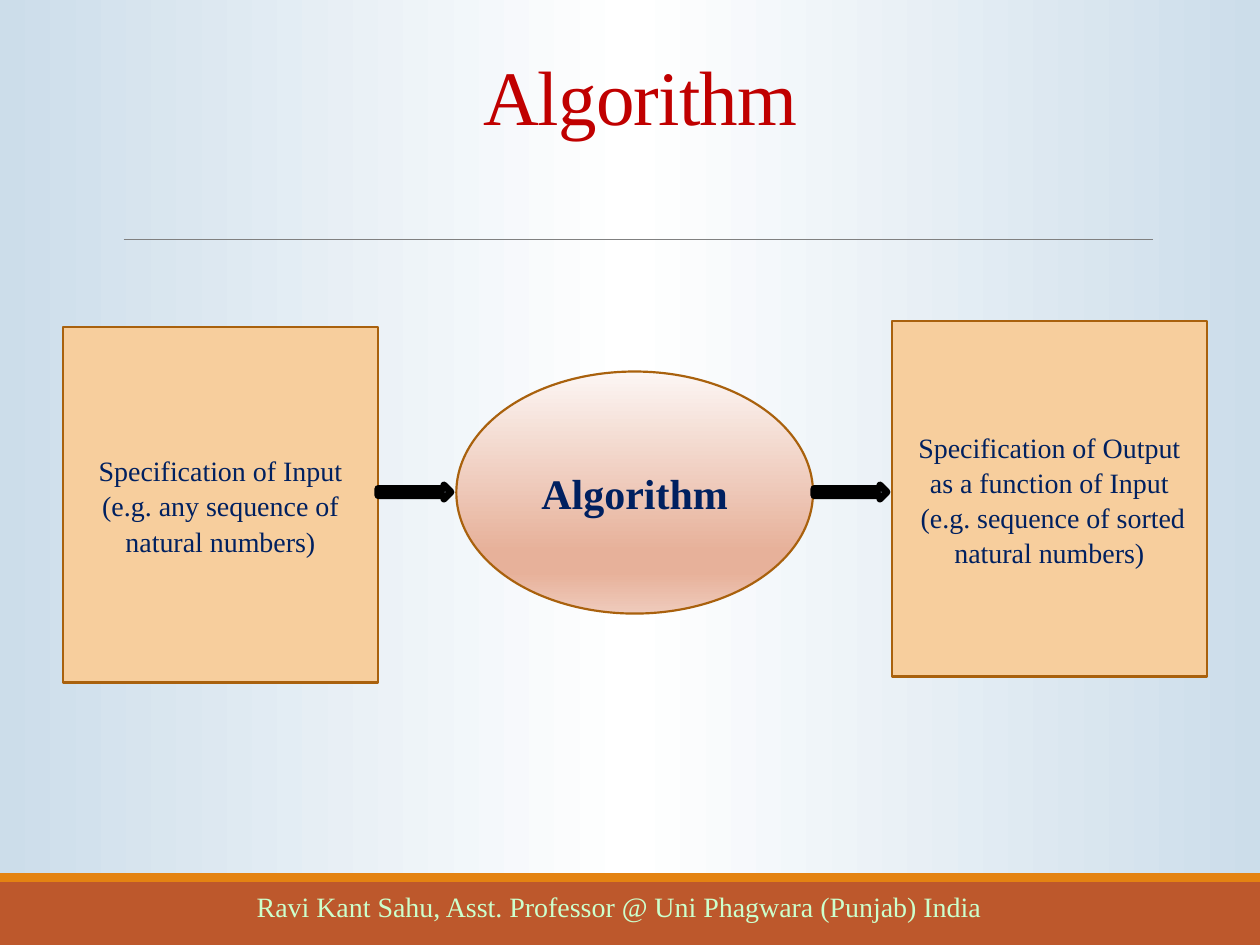
from copy import deepcopy
from dataclasses import dataclass

from pptx import Presentation
from pptx.dml.color import RGBColor
from pptx.enum.shapes import MSO_CONNECTOR, MSO_SHAPE
from pptx.enum.text import MSO_ANCHOR, PP_ALIGN
from pptx.oxml.ns import qn
from pptx.util import Cm, Pt
from lxml import etree

RECT, OVAL, ARROW = MSO_SHAPE.RECTANGLE, MSO_SHAPE.OVAL, MSO_SHAPE.RIGHT_ARROW
STRAIGHT = MSO_CONNECTOR.STRAIGHT
MIDDLE, BOTTOM = MSO_ANCHOR.MIDDLE, MSO_ANCHOR.BOTTOM
CENTER = PP_ALIGN.CENTER


@dataclass(frozen=True)
class Theme:
    font: str = "Times New Roman"
    title: str = "C00000"
    ink: str = "002060"
    footer_text: str = "CCFFCC"
    footer: str = "BD582C"
    strip: str = "E48312"
    rule: str = "808080"
    box: str = "F7CE9D"
    outline: str = "A9610D"
    arrow: str = "CCDDEA"
    arrow_line: str = "000000"
    backdrop: tuple = ((0, "CCDDEA"), (50, "FFFFFF"), (100, "CCDDEA"))
    process: tuple = ((0, "FCF6F4"), (74, "E7B19A"), (83, "E7B19A"), (100, "EFCBBC"))
    title_size: int = 44
    process_size: int = 24
    body_size: int = 16


def write(frame, text, *, font, size, color, bold=False, anchor=MIDDLE,
          margin=None, leading=None, tracking=None):
    """Fill a text frame with one centred, formatted paragraph."""
    frame.word_wrap = True
    frame.vertical_anchor = anchor
    if margin is not None:
        frame.margin_left = frame.margin_right = Cm(margin)
        frame.margin_top = frame.margin_bottom = Cm(margin)
    paragraph = frame.paragraphs[0]
    paragraph.text = text
    paragraph.alignment = CENTER
    paragraph.line_spacing = leading
    for run in paragraph.runs:
        run.font.name = font
        run.font.size = Pt(size)
        run.font.bold = bold
        run.font.color.rgb = RGBColor.from_string(color)
        if tracking is not None:
            run.font._element.set("spc", str(round(tracking * 100)))


def paint_gradient(fill, owner, stops, angle):
    """Give a fill any number of stops; the angle runs counter-clockwise."""
    fill.gradient()
    fill.gradient_angle = angle
    stop_list = next(owner.iter(qn("a:gsLst")))
    blank = deepcopy(stop_list[0])
    for child in list(blank):
        blank.remove(child)
    for child in list(stop_list):
        stop_list.remove(child)
    for position, color in stops:
        stop = deepcopy(blank)
        stop.set("pos", str(position * 1000))
        etree.SubElement(stop, qn("a:srgbClr")).set("val", color)
        stop_list.append(stop)


class SlideBuilder:
    def __init__(self, slide, theme):
        self.slide, self.theme = slide, theme

    def background(self, stops):
        paint_gradient(self.slide.background.fill, self.slide._element, stops, 180)

    def title(self, text, left, top, width, height):
        heading = self.slide.shapes.title
        heading.left, heading.top = Cm(left), Cm(top)
        heading.width, heading.height = Cm(width), Cm(height)
        write(heading.text_frame, text, font=self.theme.font, size=self.theme.title_size,
              color=self.theme.title, anchor=BOTTOM, leading=0.85, tracking=-0.5)

    def shape(self, kind, left, top, width, height, fill, line=None, weight=1.25):
        shape = self.slide.shapes.add_shape(kind, Cm(left), Cm(top), Cm(width), Cm(height))
        shape.shadow.inherit = False
        if isinstance(fill, tuple):
            paint_gradient(shape.fill, shape._element, fill, 270)
        else:
            shape.fill.solid()
            shape.fill.fore_color.rgb = RGBColor.from_string(fill)
        if line:
            shape.line.color.rgb = RGBColor.from_string(line)
            shape.line.width = Pt(weight)
        else:
            shape.line.fill.background()
        return shape

    def node(self, kind, text, left, top, width, height, fill, size, **style):
        node = self.shape(kind, left, top, width, height, fill, self.theme.outline)
        write(node.text_frame, text, font=self.theme.font, size=size,
              color=self.theme.ink, **style)

    def rule(self, left, right, y):
        rule = self.slide.shapes.add_connector(STRAIGHT, Cm(left), Cm(y), Cm(right), Cm(y))
        rule.line.color.rgb = RGBColor.from_string(self.theme.rule)
        rule.line.width = Pt(0.5)
        etree.SubElement(rule._element.spPr, qn("a:effectLst"))

    def label(self, text, left, top, width, height, **style):
        label = self.slide.shapes.add_textbox(Cm(left), Cm(top), Cm(width), Cm(height))
        write(label.text_frame, text, font=self.theme.font, **style)


def main():
    theme = Theme()
    deck = Presentation()
    deck.slide_width, deck.slide_height = Cm(25.4), Cm(19.05)
    page = SlideBuilder(deck.slides.add_slide(deck.slide_layouts[5]), theme)

    # Backdrop, footer bands and title rule
    page.background(theme.backdrop)
    page.shape(RECT, 0, 17.78, 25.4, 1.27, theme.footer)
    page.shape(RECT, 0, 17.6, 25.4, 0.18, theme.strip)
    page.rule(2.49, 23.24, 4.83)

    # Title and footer text
    page.title("Algorithm", 2.11, 0.84, 21.59, 2.13)
    page.label("Ravi Kant Sahu, Asst. Professor @ Uni Phagwara (Punjab) India",
               2.74, 17.58, 19.48, 1.27, size=theme.body_size,
               color=theme.footer_text, anchor=BOTTOM, margin=0.25)

    # Process, with its input and output
    page.node(OVAL, "Algorithm", 9.2, 7.49, 7.19, 4.88, theme.process,
              theme.process_size, bold=True)
    specifications = (
        ("Specification of Input\n(e.g. any sequence of natural numbers)", 1.27, 6.6),
        ("Specification of Output as a function of Input\n"
         " (e.g. sequence of sorted natural numbers)", 17.98, 6.48),
    )
    for text, left, top in specifications:
        page.node(RECT, text, left, top, 6.35, 7.16, theme.box,
                  theme.body_size, leading=1.05)

    # Flow arrows
    for left in (7.62, 16.41):
        page.shape(ARROW, left, 9.78, 1.47, 0.28, theme.arrow, theme.arrow_line, weight=4)

    deck.save("out.pptx")


if __name__ == "__main__":
    main()
